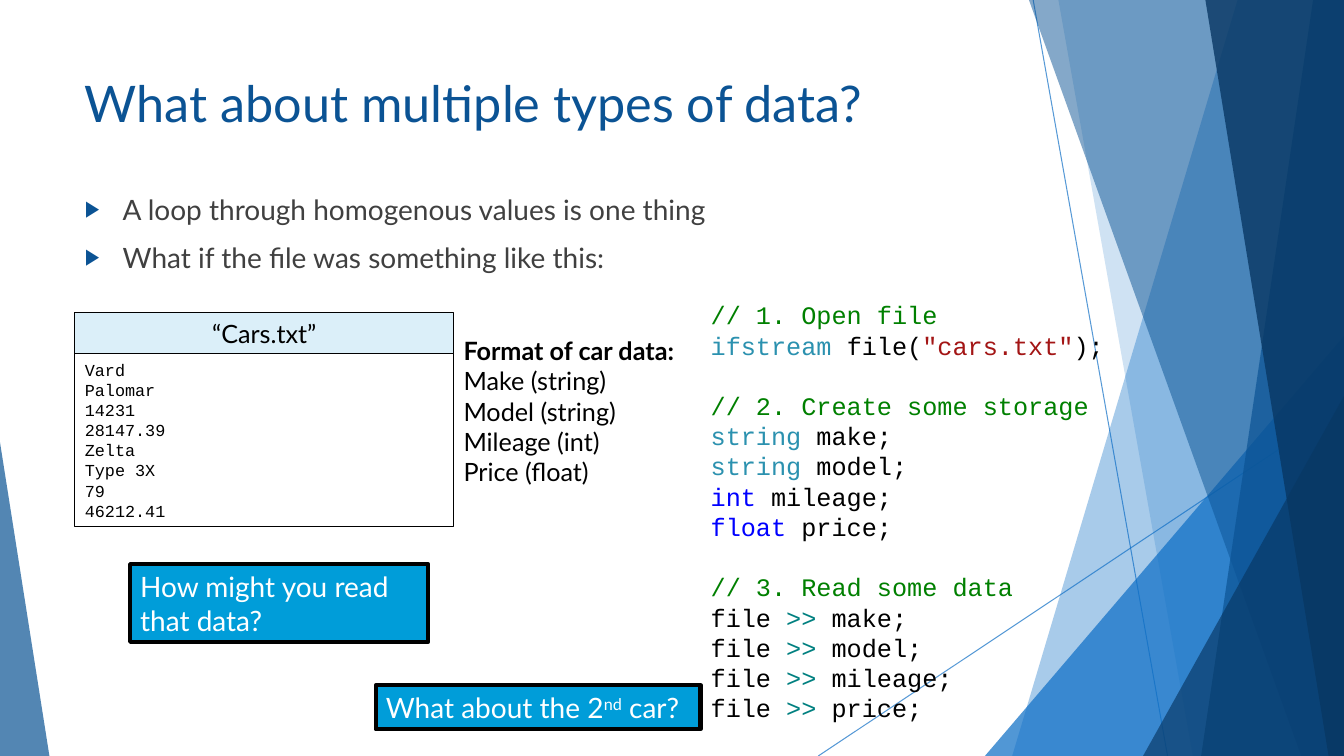
import pptx
import pptx.util
import pptx.dml.color
import pptx.enum.shapes
import pptx.enum.text
from lxml import etree

Pt = pptx.util.Pt
PRESET = pptx.enum.shapes.MSO_SHAPE
ALIGN = pptx.enum.text.PP_ALIGN
ANCHOR = pptx.enum.text.MSO_ANCHOR
A = "{http://schemas.openxmlformats.org/drawingml/2006/main}"

colors = {name: pptx.dml.color.RGBColor.from_string(value) for name, value in {
    "sky": "0F6FC6", "blue": "0B5394", "navy": "083763", "cyan": "009DD9",
    "pale": "DBEFF9", "white": "FFFFFF", "black": "000000", "gray": "404040",
    "comment": "008000", "type": "2B91AF", "keyword": "0000FF",
    "string": "A31515", "operator": "008080"}.items()}

deck = pptx.Presentation()
deck.slide_width, deck.slide_height = Pt(960), Pt(540)
slide = deck.slides.add_slide(deck.slide_layouts[6])
shapes = slide.shapes


def paint(part, fill, opacity=100, border=None):
    """Fill a shape, with an optional opacity and black border width."""
    part.shadow.inherit = False
    part.fill.solid()
    part.fill.fore_color.rgb = colors[fill]
    if opacity < 100:
        shade = part.fill._xPr.find(f".//{A}srgbClr")
        etree.SubElement(shade, A + "alpha", val=str(opacity * 1000))
    if border:
        part.line.color.rgb = colors["black"]
        part.line.width = Pt(border)
    else:
        part.line.fill.background()


def write(part, lines, font, size, color, anchor=ANCHOR.TOP):
    """Write lines, each a list of (text, color) runs, or a plain string."""
    frame = part.text_frame
    frame.word_wrap = True
    frame.vertical_anchor = anchor
    for number, line in enumerate(lines):
        paragraph = frame.add_paragraph() if number else frame.paragraphs[0]
        paragraph.alignment = ALIGN.LEFT
        paragraph.font.name = font
        paragraph.font.size = Pt(size)
        paragraph.font.color.rgb = colors[color]
        if isinstance(line, str):
            line = [(line, color)]
        for text, run_color in line:
            run = paragraph.add_run()
            run.text = text
            if run_color != color:
                run.font.color.rgb = colors[run_color]
    return frame.paragraphs


# Background: thin lines
for x1, y1, x2, y2 in [(738, 0, 834, 540), (960, 290, 584.5, 540)]:
    ray = shapes.add_connector(pptx.enum.shapes.MSO_CONNECTOR.STRAIGHT,
                               Pt(x1), Pt(y1), Pt(x2), Pt(y2))
    ray.line.color.rgb = colors["sky"]
    ray.line.width = Pt(0.75)
    shade = ray.line._ln.find(f".//{A}srgbClr")
    etree.SubElement(shade, A + "alpha", val="70000")
    etree.SubElement(ray._element.spPr, A + "effectLst")

# Background: bands to the right edge (top x, bottom x) and triangles
facets = [
    ("band", 884, 723, "sky", 36),
    ("band", 756, 852, "sky", 20),
    ("triangle", (703.5, 240, 256.5, 300), 1, "sky", 72),
    ("band", 735, 929.5, "blue", 50),
    ("band", 938, 858, "blue", 70),
    ("band", 861, 949, "navy", 80),
    ("triangle", (816.5, 283, 143.5, 257), 1, "navy", 66),
    ("triangle", (0, 316, 35.3, 224), 0, "blue", 70),
]
for kind, first, second, fill, opacity in facets:
    if kind == "band":
        outline = shapes.build_freeform(Pt(first), 0)
        outline.add_line_segments([(Pt(960), 0), (Pt(960), Pt(540)),
                                   (Pt(second), Pt(540))])
        facet = outline.convert_to_shape()
    else:
        facet = shapes.add_shape(PRESET.ISOSCELES_TRIANGLE, *map(Pt, first))
        facet.adjustments[0] = second
    paint(facet, fill, opacity)

# Title
title = shapes.add_textbox(Pt(53.5), Pt(48), Pt(677), Pt(61))
write(title, ["What about multiple types of data?"], "Lato", 36, "blue")

# Bullets
points = shapes.add_textbox(Pt(53.5), Pt(134), Pt(677), Pt(74))
for point in write(points, ["A loop through homogenous values is one thing",
                            "What if the file was something like this:"],
                   "Lato", 20, "gray"):
    point.space_before = Pt(10)
    layout = point._p.get_or_add_pPr()
    layout.set("marL", str(Pt(27)))
    layout.set("indent", str(-Pt(27)))
    marks = [etree.Element(A + "buClr"), etree.Element(A + "buSzPct", val="80000"),
             etree.Element(A + "buFont", typeface="Wingdings 3"),
             etree.Element(A + "buChar", char="▶")]
    etree.SubElement(marks[0], A + "srgbClr", val=str(colors["blue"]))
    marks[2].set("typeface", "Arial")
    for mark in marks:
        layout.find(A + "defRPr").addprevious(mark)

# Data file card
file_name = shapes.add_shape(PRESET.RECTANGLE, Pt(53.5), Pt(223.5), Pt(270.5), Pt(29))
paint(file_name, "pale", border=0.75)
write(file_name, ["“Cars.txt”"], "Lato", 18, "black",
      ANCHOR.MIDDLE)[0].alignment = ALIGN.CENTER
file_body = shapes.add_shape(PRESET.RECTANGLE, Pt(53.5), Pt(252.5), Pt(270.5), Pt(123.5))
paint(file_body, "white", border=0.75)
for value in write(file_body, ["Vard", "Palomar", "14231", "28147.39",
                               "Zelta", "Type 3X", "79", "46212.41"],
                   "Courier New", 12, "black", ANCHOR.MIDDLE):
    value.line_spacing = Pt(14.4)

# Record format
record = shapes.add_textbox(Pt(324), Pt(236), Pt(184), Pt(117))
write(record, ["Format of car data:", "Make (string)", "Model (string)",
               "Mileage (int)", "Price (float)"],
      "Lato", 18, "black")[0].font.bold = True

# Code, in three steps
declarations = [("string", "type", "make"), ("string", "type", "model"),
                ("int", "keyword", "mileage"), ("float", "keyword", "price")]
steps = [
    [[("// 1. Open file", "comment")],
     [("ifstream ", "type"), ("file(", "black"), ('"cars.txt"', "string"),
      (");", "black")]],
    [[("// 2. Create some storage", "comment")]]
    + [[(kind, color), (f" {name};", "black")] for kind, color, name in declarations],
    [[("// 3. Read some data", "comment")]]
    + [[("file ", "black"), (">>", "operator"), (f" {name};", "black")]
       for kind, color, name in declarations],
]
code = shapes.add_textbox(Pt(500.5), Pt(209), Pt(480), Pt(312))
code.text_frame.margin_top = Pt(5)
code_lines = write(code, sum(steps, []), "Courier New", 18, "black")
for code_line in code_lines:
    code_line.line_spacing = Pt(21.6)
for step_start in (len(steps[0]), len(steps[0]) + len(steps[1])):
    code_lines[step_start].space_before = Pt(21.6)

# Questions
for box, words in [((93, 403, 213, 55.5), ["How might you read that data?"]),
                   ((268.5, 489.5, 232, 31.5), ["What about the 2", "nd", " car?"])]:
    question = shapes.add_shape(PRESET.RECTANGLE, *map(Pt, box))
    paint(question, "cyan", border=3)
    wording = write(question, [[(word, "white") for word in words]],
                    "Lato", 20, "white", ANCHOR.MIDDLE)[0]
    for run in wording.runs[1:2]:
        run.font._element.set("baseline", "30000")

deck.save("out.pptx")
